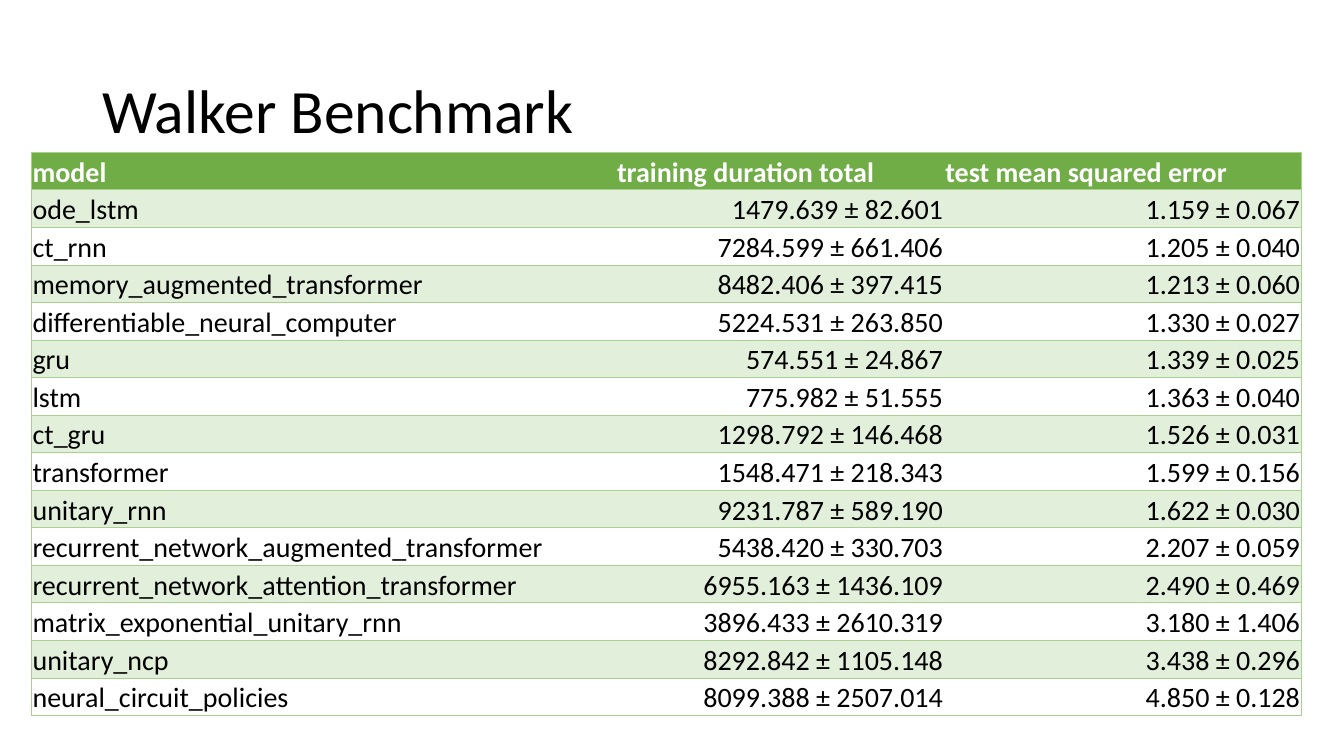
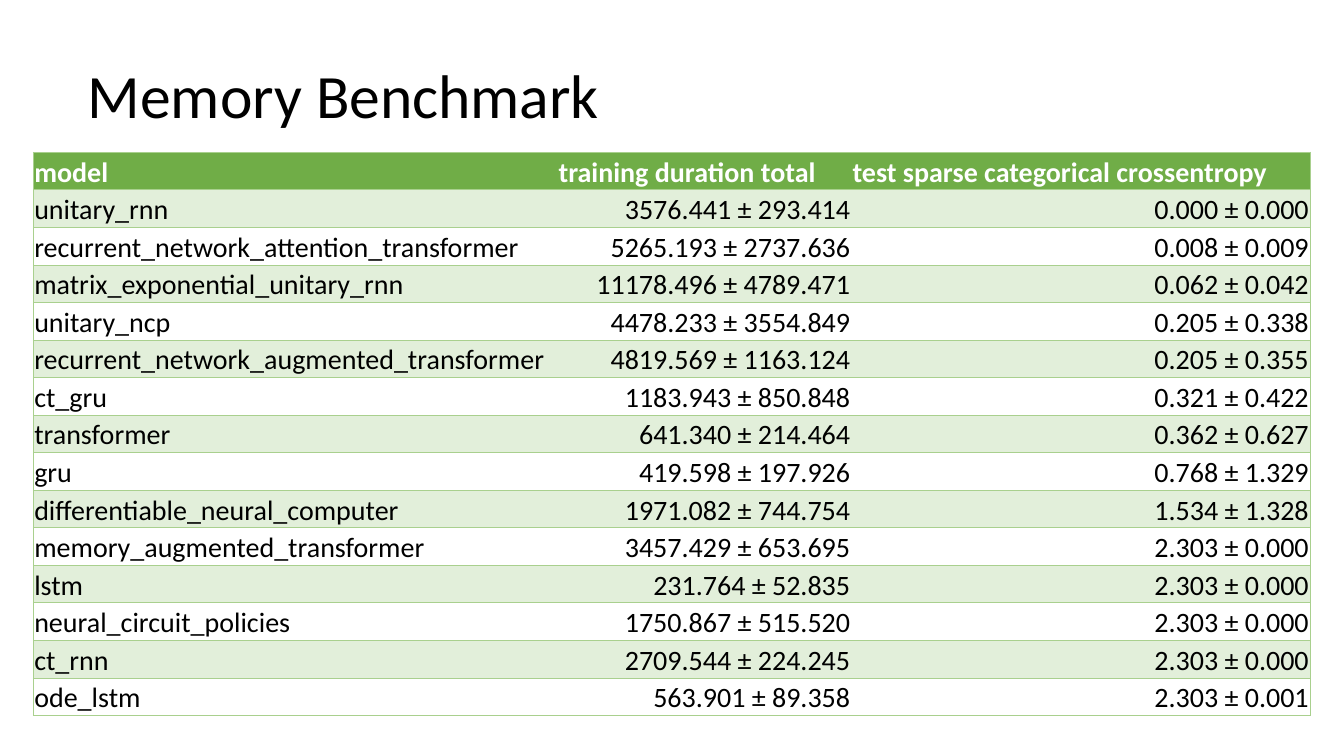
"""Build two slides of model benchmark tables."""
import lxml.etree
import pptx
import pptx.dml.color
import pptx.enum.text
import pptx.oxml.ns
import pptx.util

Pt = pptx.util.Pt
ALIGN = pptx.enum.text.PP_ALIGN
ANCHOR = pptx.enum.text.MSO_ANCHOR
FONT = "Calibri"
COLORS = {
    "text": "000000",
    "header_text": "FFFFFF",
    "header": "70AD47",
    "band": "E2EFDA",
    "plain": "FFFFFF",
    "border": "A9D08E",
}
TABLE_TOP = 108.75
ROW_HEIGHT = 26.83

BENCHMARKS = [
    {
        "title": "Walker Benchmark",
        "title_at": (66, 28.75),
        "table_left": 22.5,
        "widths": (417.5, 234.5, 255),
        "rows": [
            ("model", "training duration total", "test mean squared error"),
            ("ode_lstm", "1479.639 ± 82.601", "1.159 ± 0.067"),
            ("ct_rnn", "7284.599 ± 661.406", "1.205 ± 0.040"),
            ("memory_augmented_transformer", "8482.406 ± 397.415", "1.213 ± 0.060"),
            ("differentiable_neural_computer", "5224.531 ± 263.850", "1.330 ± 0.027"),
            ("gru", "574.551 ± 24.867", "1.339 ± 0.025"),
            ("lstm", "775.982 ± 51.555", "1.363 ± 0.040"),
            ("ct_gru", "1298.792 ± 146.468", "1.526 ± 0.031"),
            ("transformer", "1548.471 ± 218.343", "1.599 ± 0.156"),
            ("unitary_rnn", "9231.787 ± 589.190", "1.622 ± 0.030"),
            ("recurrent_network_augmented_transformer", "5438.420 ± 330.703", "2.207 ± 0.059"),
            ("recurrent_network_attention_transformer", "6955.163 ± 1436.109", "2.490 ± 0.469"),
            ("matrix_exponential_unitary_rnn", "3896.433 ± 2610.319", "3.180 ± 1.406"),
            ("unitary_ncp", "8292.842 ± 1105.148", "3.438 ± 0.296"),
            ("neural_circuit_policies", "8099.388 ± 2507.014", "4.850 ± 0.128"),
        ],
    },
    {
        "title": "Memory Benchmark",
        "title_at": (55.5, 18),
        "table_left": 23.75,
        "widths": (374.5, 210, 327.5),
        "rows": [
            ("model", "training duration total", "test sparse categorical crossentropy"),
            ("unitary_rnn", "3576.441 ± 293.414", "0.000 ± 0.000"),
            ("recurrent_network_attention_transformer", "5265.193 ± 2737.636", "0.008 ± 0.009"),
            ("matrix_exponential_unitary_rnn", "11178.496 ± 4789.471", "0.062 ± 0.042"),
            ("unitary_ncp", "4478.233 ± 3554.849", "0.205 ± 0.338"),
            ("recurrent_network_augmented_transformer", "4819.569 ± 1163.124", "0.205 ± 0.355"),
            ("ct_gru", "1183.943 ± 850.848", "0.321 ± 0.422"),
            ("transformer", "641.340 ± 214.464", "0.362 ± 0.627"),
            ("gru", "419.598 ± 197.926", "0.768 ± 1.329"),
            ("differentiable_neural_computer", "1971.082 ± 744.754", "1.534 ± 1.328"),
            ("memory_augmented_transformer", "3457.429 ± 653.695", "2.303 ± 0.000"),
            ("lstm", "231.764 ± 52.835", "2.303 ± 0.000"),
            ("neural_circuit_policies", "1750.867 ± 515.520", "2.303 ± 0.000"),
            ("ct_rnn", "2709.544 ± 224.245", "2.303 ± 0.000"),
            ("ode_lstm", "563.901 ± 89.358", "2.303 ± 0.001"),
        ],
    },
]


def add_span(para, text, size, color, bold=False):
    span = para.add_run()
    span.text = text
    span.font.name = FONT
    span.font.size = Pt(size)
    span.font.bold = bold
    span.font.color.rgb = pptx.dml.color.RGBColor.from_string(COLORS[color])


def set_borders(cell, visible):
    properties = cell._tc.get_or_add_tcPr()
    qn = pptx.oxml.ns.qn
    for side in "LRTB":
        line = lxml.etree.SubElement(properties, qn(f"a:ln{side}"), w=str(Pt(0.5)))
        if side in visible:
            fill = lxml.etree.SubElement(line, qn("a:solidFill"))
            lxml.etree.SubElement(fill, qn("a:srgbClr"), val=COLORS["border"])
        else:
            lxml.etree.SubElement(line, qn("a:noFill"))


deck = pptx.Presentation()
deck.slide_width = Pt(960)
deck.slide_height = Pt(540)

for benchmark in BENCHMARKS:
    page = deck.slides.add_slide(deck.slide_layouts[6])

    left, top = benchmark["title_at"]
    title_box = page.shapes.add_textbox(Pt(left), Pt(top), Pt(828), Pt(104.4))
    title_box.text_frame.word_wrap = True
    title_box.text_frame.vertical_anchor = ANCHOR.MIDDLE
    para = title_box.text_frame.paragraphs[0]
    para.line_spacing = 0.9
    add_span(para, benchmark["title"], 44, "text")

    rows, widths = benchmark["rows"], benchmark["widths"]
    table = page.shapes.add_table(
        len(rows), len(widths), Pt(benchmark["table_left"]), Pt(TABLE_TOP),
        Pt(sum(widths)), Pt(ROW_HEIGHT * len(rows)),
    ).table
    table.horz_banding = False
    for column, width in zip(table.columns, widths):
        column.width = Pt(width)

    for row_index, row in enumerate(rows):
        table.rows[row_index].height = Pt(ROW_HEIGHT)
        is_header = row_index == 0
        fill_name = "header" if is_header else "band" if row_index % 2 else "plain"
        for column_index, text in enumerate(row):
            cell = table.cell(row_index, column_index)
            set_borders(cell, ("LTB", "TB", "RTB")[column_index])
            cell.fill.solid()
            cell.fill.fore_color.rgb = pptx.dml.color.RGBColor.from_string(COLORS[fill_name])
            cell.margin_left = cell.margin_right = cell.margin_top = Pt(0.75)
            cell.margin_bottom = 0
            cell.vertical_anchor = ANCHOR.BOTTOM
            para = cell.text_frame.paragraphs[0]
            para.alignment = ALIGN.LEFT if is_header or column_index == 0 else ALIGN.RIGHT
            add_span(para, text, 20, "header_text" if is_header else "text", is_header)

deck.save("out.pptx")
